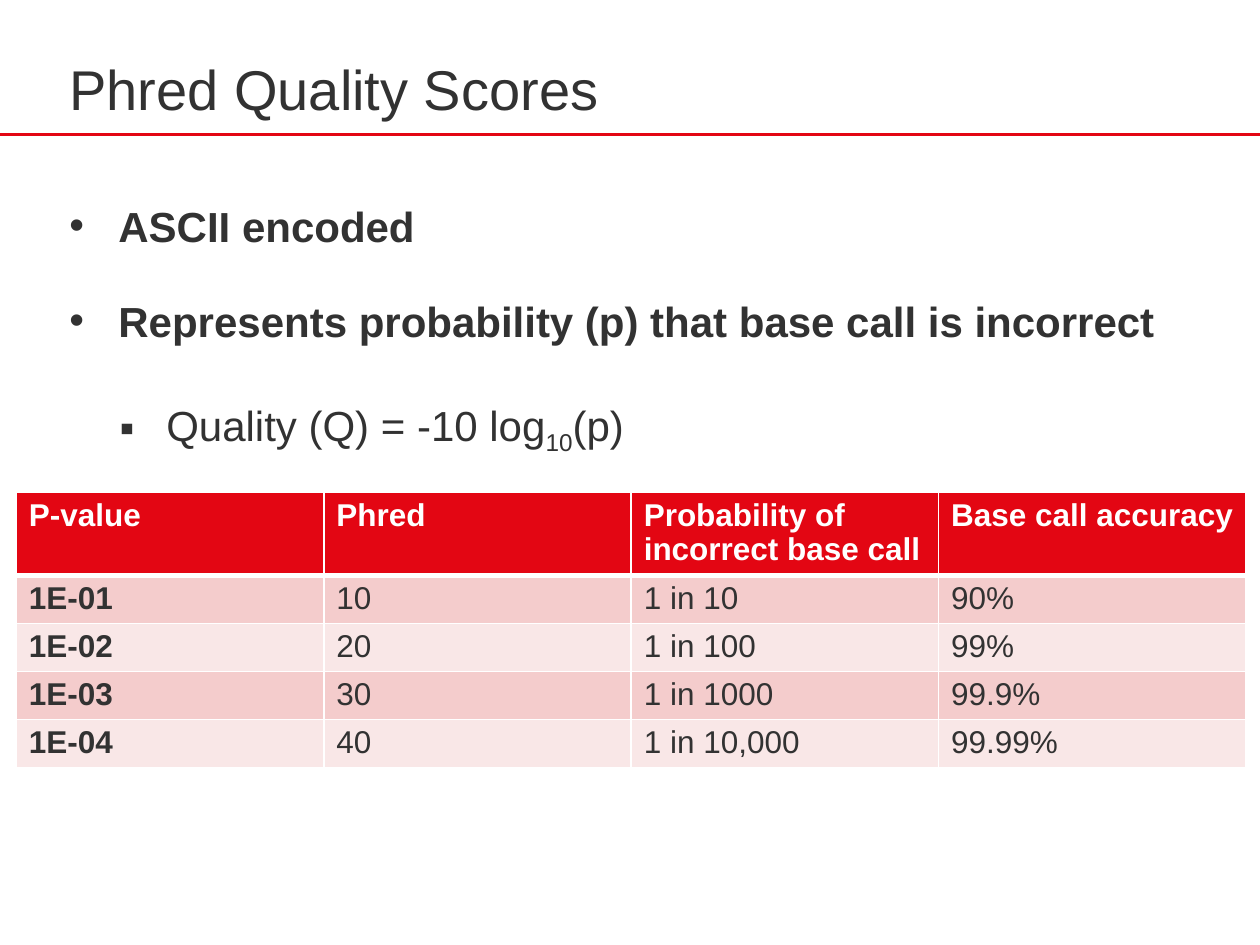
from lxml.etree import SubElement
from pptx import Presentation
from pptx.dml.color import RGBColor
from pptx.enum.shapes import MSO_CONNECTOR
from pptx.enum.text import MSO_ANCHOR, MSO_AUTO_SIZE, PP_ALIGN
from pptx.oxml.ns import qn
from pptx.util import Inches, Pt

RED = RGBColor(0xE3, 0x06, 0x13)
DARK = RGBColor(0x32, 0x32, 0x32)
WHITE = RGBColor(0xFF, 0xFF, 0xFF)
PINK = RGBColor(0xF4, 0xCC, 0xCC)
PALE = RGBColor(0xF9, 0xE7, 0xE7)

SCORES = [
    ["P-value", "Phred", "Probability of incorrect base call", "Base call accuracy"],
    ["1E-01", "10", "1 in 10", "90%"],
    ["1E-02", "20", "1 in 100", "99%"],
    ["1E-03", "30", "1 in 1000", "99.9%"],
    ["1E-04", "40", "1 in 10,000", "99.99%"],
]


def add_text(paragraph, text, size=24, color=DARK, bold=False, baseline=None):
    run = paragraph.add_run()
    run.text = text
    run.font.name = "Arial"
    run.font.size = Pt(size)
    run.font.bold = bold
    run.font.color.rgb = color
    if baseline is not None:
        run.font._element.set("baseline", str(baseline))


class SlideBuilder:
    def __init__(self, slide):
        self.slide = slide

    def place_frame(self, shape, left, top, width, height, anchor):
        shape.left, shape.top = Inches(left), Inches(top)
        shape.width, shape.height = Inches(width), Inches(height)
        frame = shape.text_frame
        frame.word_wrap = True
        frame.auto_size = MSO_AUTO_SIZE.NONE
        frame.vertical_anchor = anchor
        frame.margin_left = frame.margin_right = 0
        frame.margin_top = frame.margin_bottom = 0
        return frame

    def title(self, text, *box):
        frame = self.place_frame(self.slide.shapes.title, *box, MSO_ANCHOR.MIDDLE)
        heading = frame.paragraphs[0]
        heading.alignment = PP_ALIGN.LEFT
        add_text(heading, text, size=32)

    def rule(self, y, width):
        divider = self.slide.shapes.add_connector(
            MSO_CONNECTOR.STRAIGHT, 0, Inches(y), Inches(width), Inches(y))
        divider.line.color.rgb = RED
        divider.line.width = Pt(1.5)
        SubElement(divider._element.spPr, qn("a:effectLst"))

    def bullets(self, points, *box):
        body = self.slide.shapes.add_textbox(0, 0, 0, 0)
        frame = self.place_frame(body, *box, MSO_ANCHOR.TOP)
        for number, (mark, indent, hanging, before, runs) in enumerate(points):
            point = frame.add_paragraph() if number else frame.paragraphs[0]
            point.line_spacing = 1.05
            point.space_before = Pt(before)
            properties = point._p.get_or_add_pPr()
            properties.set("marL", str(Inches(indent)))
            properties.set("indent", str(-Inches(hanging)))
            bullet_color = SubElement(properties, qn("a:buClr"))
            SubElement(bullet_color, qn("a:srgbClr"), val=str(DARK))
            SubElement(properties, qn("a:buFont"), typeface="Arial")
            SubElement(properties, qn("a:buChar"), char=mark)
            for text, style in runs:
                add_text(point, text, **style)

    def cell_borders(self, cell, bottom):
        properties = cell._tc.get_or_add_tcPr()
        for side, width in (("L", 0.96), ("R", 0.96), ("T", 0.96), ("B", bottom)):
            border = SubElement(properties, qn(f"a:ln{side}"), w=str(Pt(width)))
            fill = SubElement(border, qn("a:solidFill"))
            SubElement(fill, qn("a:srgbClr"), val=str(WHITE))

    def table(self, rows, left, top, column_width, header_height, row_height):
        column_count = len(rows[0])
        height = header_height + row_height * (len(rows) - 1)
        table = self.slide.shapes.add_table(
            len(rows), column_count, Inches(left), Inches(top),
            Inches(column_width * column_count), Inches(height)).table
        for column in table.columns:
            column.width = Inches(column_width)
        for r, values in enumerate(rows):
            header = r == 0
            table.rows[r].height = Inches(header_height if header else row_height)
            for c, value in enumerate(values):
                cell = table.cell(r, c)
                self.cell_borders(cell, 3 if header else 0.96)
                cell.fill.solid()
                cell.fill.fore_color.rgb = RED if header else PINK if r % 2 else PALE
                entry = cell.text_frame.paragraphs[0]
                entry.line_spacing = 0.97
                add_text(entry, value, size=18, color=WHITE if header else DARK,
                         bold=header or c == 0)


def main():
    presentation = Presentation()
    presentation.slide_width = Inches(10)
    presentation.slide_height = Inches(7.5)
    builder = SlideBuilder(presentation.slides.add_slide(presentation.slide_layouts[5]))
    builder.rule(1.07, 10)
    builder.title("Phred Quality Scores", 0.55, 0.44, 8.86, 0.52)
    strong = {"bold": True}
    builder.bullets([
        ("•", 0.39, 0.39, 24, [("ASCII encoded", strong)]),
        ("•", 0.39, 0.39, 24,
         [("Represents probability (p) that base call is incorrect", strong)]),
        ("▪", 0.77, 0.37, 29,
         [("Quality (Q) = -10 log", {}), ("10", {"baseline": -25000}), ("(p)", {})]),
    ], 0.55, 1.57, 8.86, 5.35)
    builder.table(SCORES, 0.13, 3.91, 2.44, 0.66, 0.38)
    presentation.save("out.pptx")


if __name__ == "__main__":
    main()
